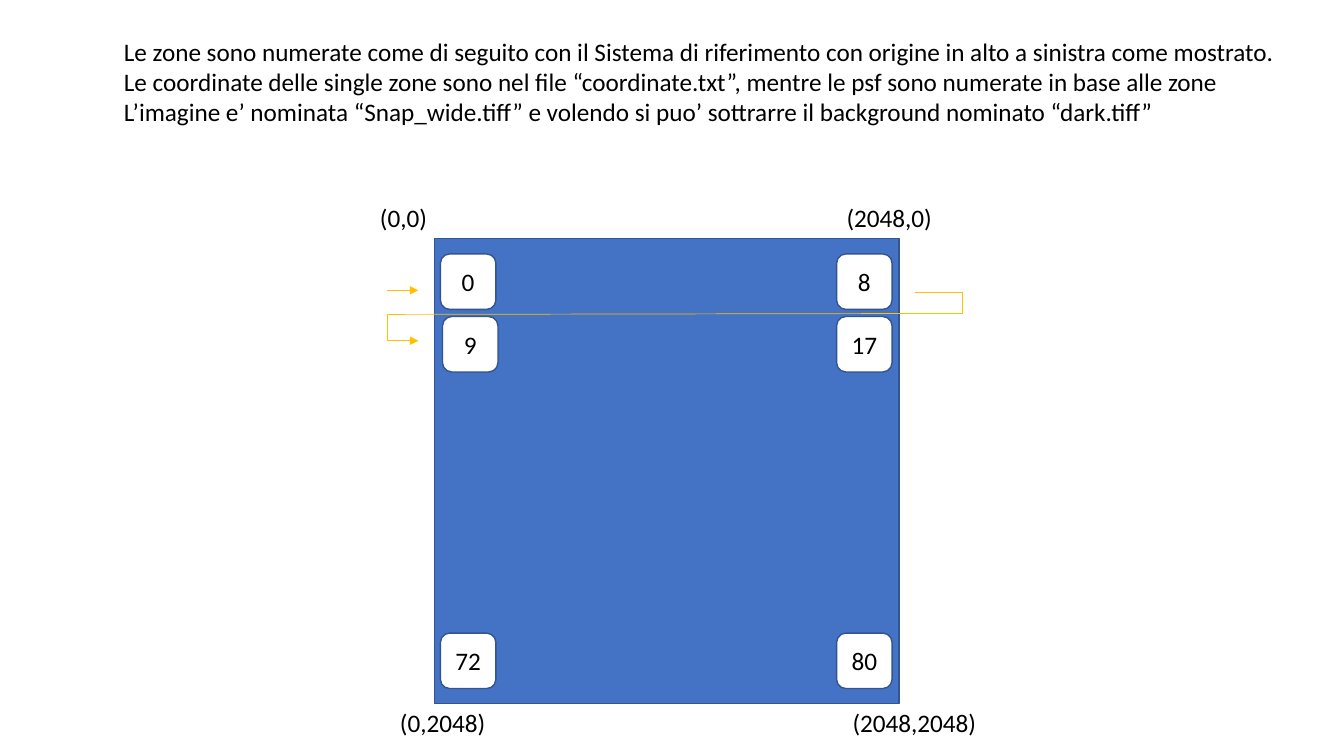
from lxml import etree
from pptx import Presentation
from pptx.dml.color import RGBColor
from pptx.enum.shapes import MSO_CONNECTOR, MSO_SHAPE
from pptx.enum.text import MSO_ANCHOR, PP_ALIGN
from pptx.oxml.ns import qn
from pptx.util import Pt

STRAIGHT = MSO_CONNECTOR.STRAIGHT
RECTANGLE, ROUNDED = MSO_SHAPE.RECTANGLE, MSO_SHAPE.ROUNDED_RECTANGLE
MIDDLE, CENTER = MSO_ANCHOR.MIDDLE, PP_ALIGN.CENTER
BLANK_LAYOUT = 6

COLORS = {"sensor": "4472C4", "outline": "325491", "tile": "FFFFFF",
          "route": "FFC000", "text": "000000"}

INTRO = [
    "Le zone sono numerate come di seguito con il Sistema di riferimento con origine "
    "in alto a sinistra come mostrato.",
    "Le coordinate delle single zone sono nel file “coordinate.txt”, mentre le psf sono "
    "numerate in base alle zone L’imagine e’ nominata “Snap_wide.tiff” e volendo si puo’ "
    "sottrarre il background nominato “dark.tiff”",
]
LABELS = [("(0,0)", -46, -29.5, 55.4), ("(2048,0)", 287.3, -29.5, 80.6),
          ("(2048,2048)", 291.6, 331.2, 112.3), ("(0,2048)", -31.7, 331.2, 112.3)]
TILE_SIZE = 39.6
TILE_RIGHT = 287.3
TILE_ROWS = [(10.8, 4.3, "0", "8"), (55.5, 5.8, "9", "17"), (281.6, 4.3, "72", "80")]
ROUTE = [((-33.8, 36.8), (-11.5, 36.8), True),
         ((343.5, 38.2), (377.3, 38.2), False),
         ((377.3, 38.2), (377.3, 54), False),
         ((377.3, 53.3), (-33.8, 54), False),
         ((-33.8, 54), (-33.8, 72.8), False),
         ((-33.8, 72.8), (-11.5, 72.8), True)]


def color(name):
    """Return the named colour."""
    return RGBColor.from_string(COLORS[name])


def write(para, text):
    """Add one run in the text style of the slide."""
    span = para.add_run()
    span.text = text
    span.font.name = "Calibri"
    span.font.size = Pt(18)
    span.font.color.rgb = color("text")


def add_text(page, box, lines):
    """Place a wrapping text box with one paragraph per line."""
    frame = page.shapes.add_textbox(*map(Pt, box)).text_frame
    frame.word_wrap = True
    for index, line in enumerate(lines):
        write(frame.add_paragraph() if index else frame.paragraphs[0], line)


def add_block(page, kind, box, fill):
    """Place an outlined flat shape."""
    block = page.shapes.add_shape(kind, *map(Pt, box))
    block.shadow.inherit = False
    block.fill.solid()
    block.fill.fore_color.rgb = color(fill)
    block.line.color.rgb = color("outline")
    block.line.width = Pt(1)
    return block


def add_tile(page, box, number):
    """Place a numbered zone tile."""
    frame = add_block(page, ROUNDED, box, "tile").text_frame
    frame.vertical_anchor = MIDDLE
    frame.paragraphs[0].alignment = CENTER
    write(frame.paragraphs[0], number)


def add_route_line(page, start, end, arrow):
    """Draw one segment of the numbering route."""
    segment = page.shapes.add_connector(STRAIGHT, *map(Pt, (*start, *end)))
    segment.line.color.rgb = color("route")
    segment.line.width = Pt(0.5)
    if arrow:
        etree.SubElement(segment.line._get_or_add_ln(), qn("a:tailEnd"), type="triangle")
    etree.SubElement(segment._element.spPr, qn("a:effectLst"))


def add_sensor(page, box):
    """Build the sensor with its corner labels, route and zone tiles."""
    left, top, _, _ = box
    add_block(page, RECTANGLE, box, "sensor")
    for text, x, y, width in LABELS:
        add_text(page, (left + x, top + y, width, 29), [text])
    for (x1, y1), (x2, y2), arrow in ROUTE:
        add_route_line(page, (left + x1, top + y1), (left + x2, top + y2), arrow)
    for y, first_x, first, last in TILE_ROWS:
        for x, number in ((first_x, first), (TILE_RIGHT, last)):
            add_tile(page, (left + x, top + y, TILE_SIZE, TILE_SIZE), number)


def main():
    """Build and save the deck."""
    deck = Presentation()
    deck.slide_width, deck.slide_height = Pt(960), Pt(540)
    page = deck.slides.add_slide(deck.slide_layouts[BLANK_LAYOUT])
    add_text(page, (81.4, 22.3, 846.7, 72.7), INTRO)
    add_sensor(page, (310.3, 170.6, 332, 332))
    deck.save("out.pptx")


main()
